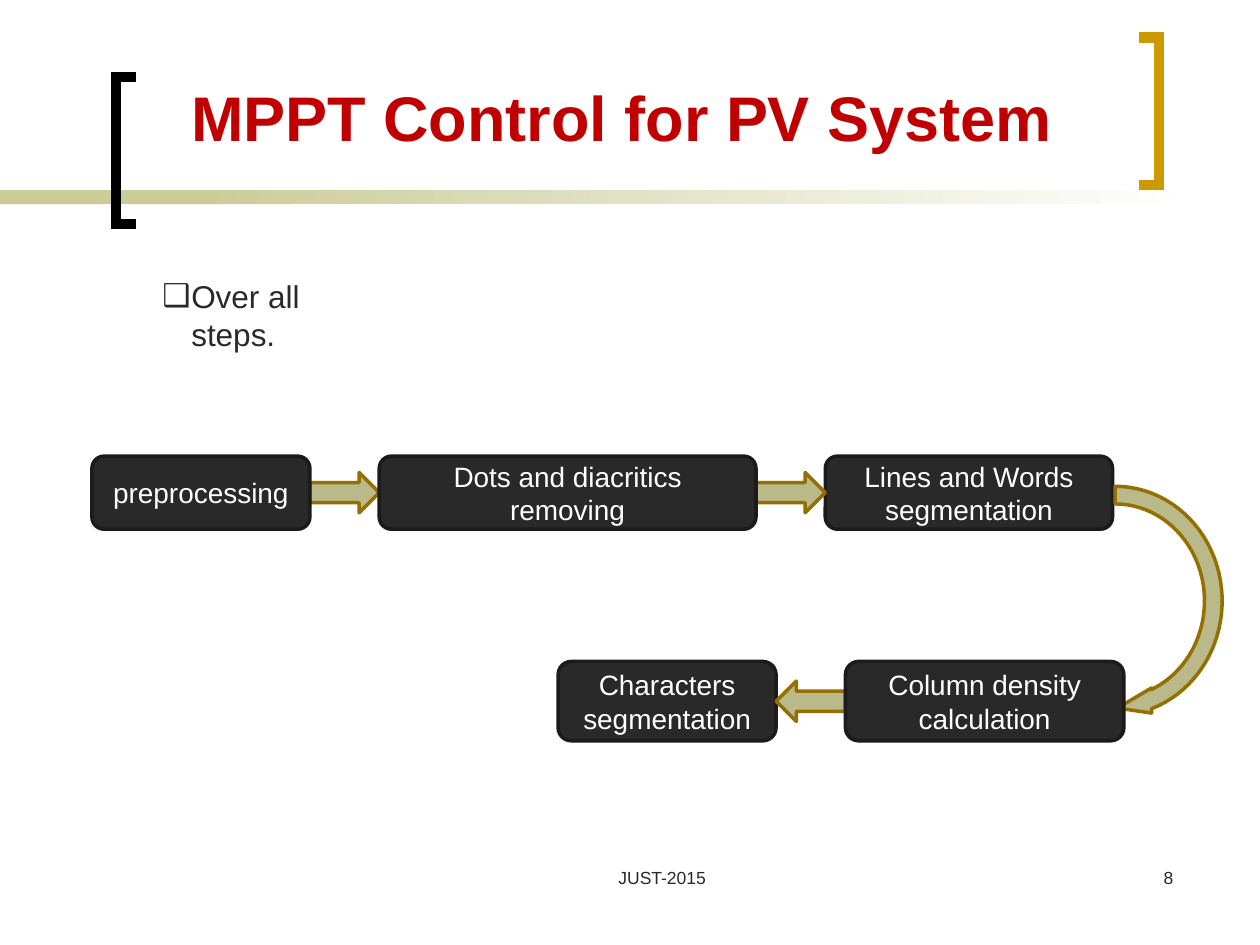
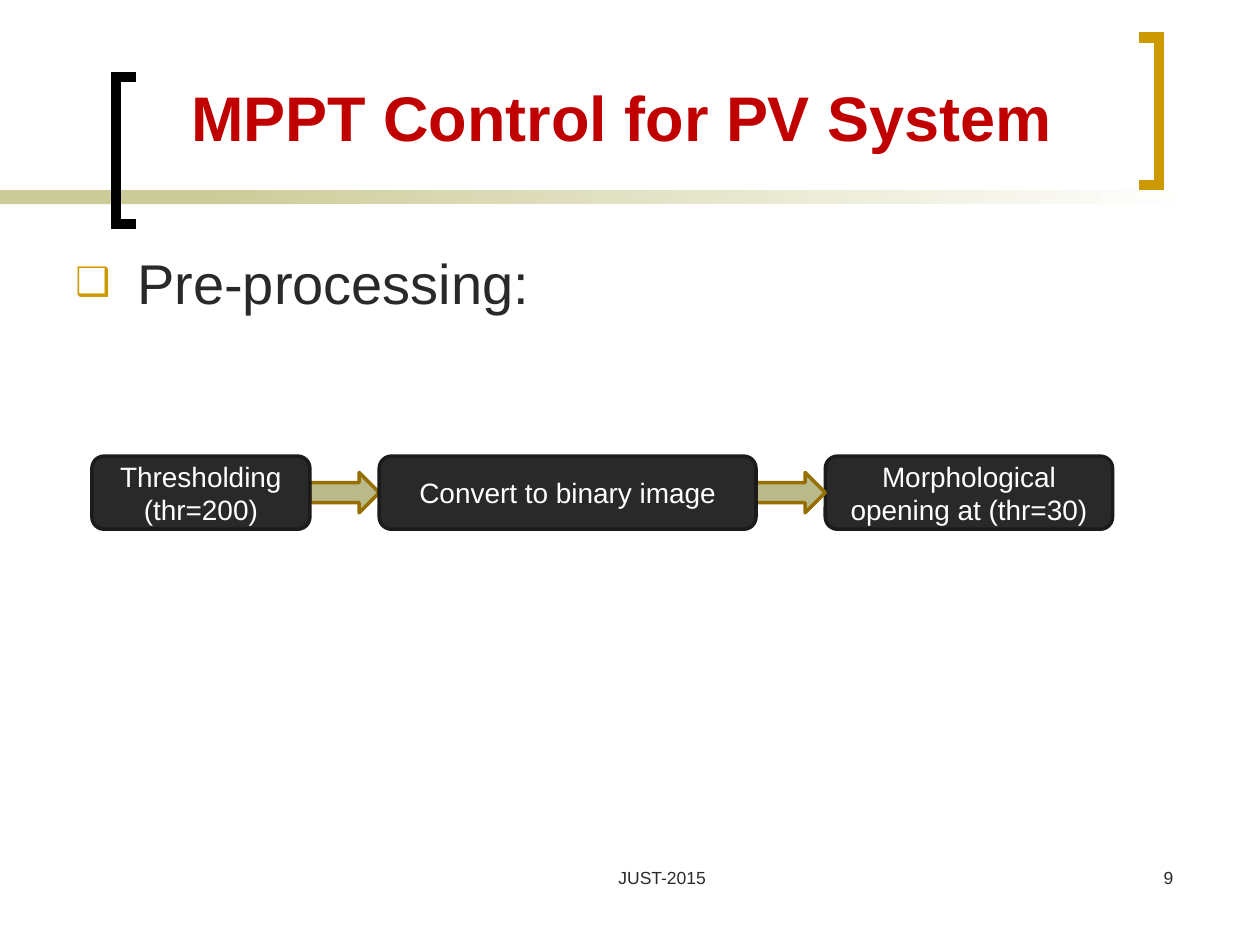
from math import cos, radians, sin

from lxml import etree
from pptx import Presentation
from pptx import util as u
from pptx.dml import color as clr
from pptx.enum import shapes, text
from pptx.oxml import ns

rgb = clr.RGBColor.from_string
PREFIX = "❑"
INK, WHITE, SAND = "292929", "FFFFFF", "CCCC99"
BOX = {"fill": INK, "line": "1B1B1B", "pt": 2}
ARROW = {"fill": "B9B98A", "line": "956F00", "pt": 2}
MID, LEFT, RIGHT = text.PP_ALIGN.CENTER, text.PP_ALIGN.LEFT, text.PP_ALIGN.RIGHT
TOP, MIDDLE, BOTTOM = text.MSO_ANCHOR.TOP, text.MSO_ANCHOR.MIDDLE, text.MSO_ANCHOR.BOTTOM

prs = Presentation()
prs.slide_width, prs.slide_height = u.Inches(10), u.Inches(7.5)
unit = prs.slide_width / 100


def grid(*cells):
    return [round(c * unit) for c in cells]


def write(sp, txt, size, color, align, anchor=TOP, bold=False):
    tf = sp.text_frame
    frame = {"word_wrap": True, "auto_size": text.MSO_AUTO_SIZE.NONE, "vertical_anchor": anchor}
    for name, value in frame.items():
        setattr(tf, name, value)
    tf.text = txt
    for p in tf.paragraphs:
        p.alignment = align
        for r in p.runs:
            for name, value in {"name": "Arial", "size": u.Pt(size), "bold": bold}.items():
                setattr(r.font, name, value)
            r.font.color.rgb = rgb(color)
    return tf.paragraphs[0]


gap = 5.5
top_row = {"left": 7.3, "top": 36.2, "height": 5.8, "back": 2, "turn": 0}
low_row = {"left": 44.3, "top": 52.5, "height": 6.3, "back": 0, "turn": 180}
top_widths, low_widths = (17.3, 29.9, 22.8), (17.3, 22.1)
pages = [
    {"number": "8",
     "bullet": {"txt": "Over all steps.", "cells": (11.9, 21.5, 20, 7), "size": 18,
                "indent": 2.3, "before": 0, "color": INK, "scale": 100},
     "rows": [(top_row, top_widths, ("preprocessing", "Dots and diacritics removing",
                                     "Lines and Words segmentation")),
              (low_row, low_widths, ("Characters segmentation", "Column density calculation"))]},
    {"number": "9",
     "bullet": {"txt": "Pre-processing:", "cells": (5, 19.2, 91.8, 51.2), "size": 32,
                "indent": 4.9, "before": 8, "color": "CC9900", "scale": 70},
     "rows": [(top_row, top_widths, ("Thresholding\n(thr=200)", "Convert to binary image",
                                     "Morphological opening at (thr=30)"))]},
]

for page in pages:
    s = prs.slides.add_slide(prs.slide_layouts[5])
    painted = []

    for cells in ((0, 15.1, 23.3, 1.1), (15.8, 15.1, 79.2, 1.1)):
        band = s.shapes.add_shape(shapes.MSO_SHAPE.RECTANGLE, *grid(*cells))
        painted.append((band, {"fill": SAND, "line": None}))

    for tip, back, top, color in ((10.8, 9.2, 6.1, "000000"), (90.4, 92, 3, "CC9900")):
        fb = s.shapes.build_freeform(*grid(tip, top))
        fb.add_line_segments([grid(back, top), grid(back, top + 11.7), grid(tip, top + 11.7)],
                             close=False)
        painted.append((fb.convert_to_shape(), {"fill": None, "line": color, "pt": 6}))

    title = s.shapes.title
    for name, value in zip(("left", "top", "width", "height"), grid(10.2, 2.6, 78.3, 10.1)):
        setattr(title, name, value)
    write(title, "MPPT Control for PV System", 36, "C00000", MID, BOTTOM, True)

    for txt, cells, align in (("JUST-2015", (36.7, 68.3, 31.7, 5), MID),
                              (page["number"], (73.3, 68.3, 20.8, 5), RIGHT)):
        write(s.shapes.add_textbox(*grid(*cells)), txt, 10, INK, align)

    b = page["bullet"]
    p = write(s.shapes.add_textbox(*grid(*b["cells"])), b["txt"], b["size"], INK, LEFT)
    p.space_before = u.Pt(b["before"])
    pPr = p._p.get_or_add_pPr()
    indent, = grid(b["indent"])
    for name, value in {"marL": indent, "indent": -indent}.items():
        pPr.set(name, str(value))
    buClr = etree.SubElement(pPr, ns.qn("a:buClr"))
    for parent, tag, name, value in ((buClr, "srgbClr", "val", b["color"]),
                                     (pPr, "buSzPct", "val", str(b["scale"] * 1000)),
                                     (pPr, "buFont", "typeface", "Arial"),
                                     (pPr, "buChar", "char", PREFIX)):
        etree.SubElement(parent, ns.qn("a:" + tag)).set(name, value)

    for row, widths, labels in page["rows"]:
        if row is low_row:
            arc = [(88.5 + 8.5 * cos(radians(a)), 47.7 + 9.1 * sin(radians(a)))
                   for a in range(-90, 71, 4)]
            arc += [(91.4, 56.6), (88.7, 56.2), (91.4, 54.6)]
            arc += [(88.5 + 7.1 * cos(radians(a)), 47.7 + 7.7 * sin(radians(a)))
                    for a in range(66, -91, -4)]
            fb = s.shapes.build_freeform(*grid(*arc[0]))
            fb.add_line_segments([grid(*point) for point in arc[1:]])
            painted.append((fb.convert_to_shape(), ARROW))

        lefts = [row["left"] + sum(widths[:i]) + gap * i for i in range(len(widths))]
        steps = list(zip(lefts, widths, labels))
        arrows = [(x - gap, gap, None) for x in lefts[1:]]
        behind = steps.pop(row["back"])
        for x, width, label in [behind] + arrows + steps:
            if label:
                sp = s.shapes.add_shape(shapes.MSO_SHAPE.ROUNDED_RECTANGLE,
                                        *grid(x, row["top"], width, row["height"]))
                write(sp, label, 16, WHITE, MID, MIDDLE)
                painted.append((sp, BOX))
            else:
                y = row["top"] + (row["height"] - 3.2) / 2
                sp = s.shapes.add_shape(shapes.MSO_SHAPE.RIGHT_ARROW, *grid(x, y, width, 3.2))
                sp.rotation = row["turn"]
                painted.append((sp, ARROW))

    for sp, look in painted:
        sp.shadow.inherit = False
        if look["fill"]:
            sp.fill.solid()
            sp.fill.fore_color.rgb = rgb(look["fill"])
        else:
            sp.fill.background()
        if look["line"]:
            sp.line.color.rgb = rgb(look["line"])
            sp.line.width = u.Pt(look["pt"])
            if look["pt"] == 6:
                etree.SubElement(sp.line._get_or_add_ln(), ns.qn("a:miter")).set("lim", "800000")
        else:
            sp.line.fill.background()

    band.fill.gradient()
    band.fill.gradient_angle = 0
    for stop, color in zip(band.fill.gradient_stops, (SAND, WHITE)):
        stop.color.rgb = rgb(color)

prs.save("out.pptx")
